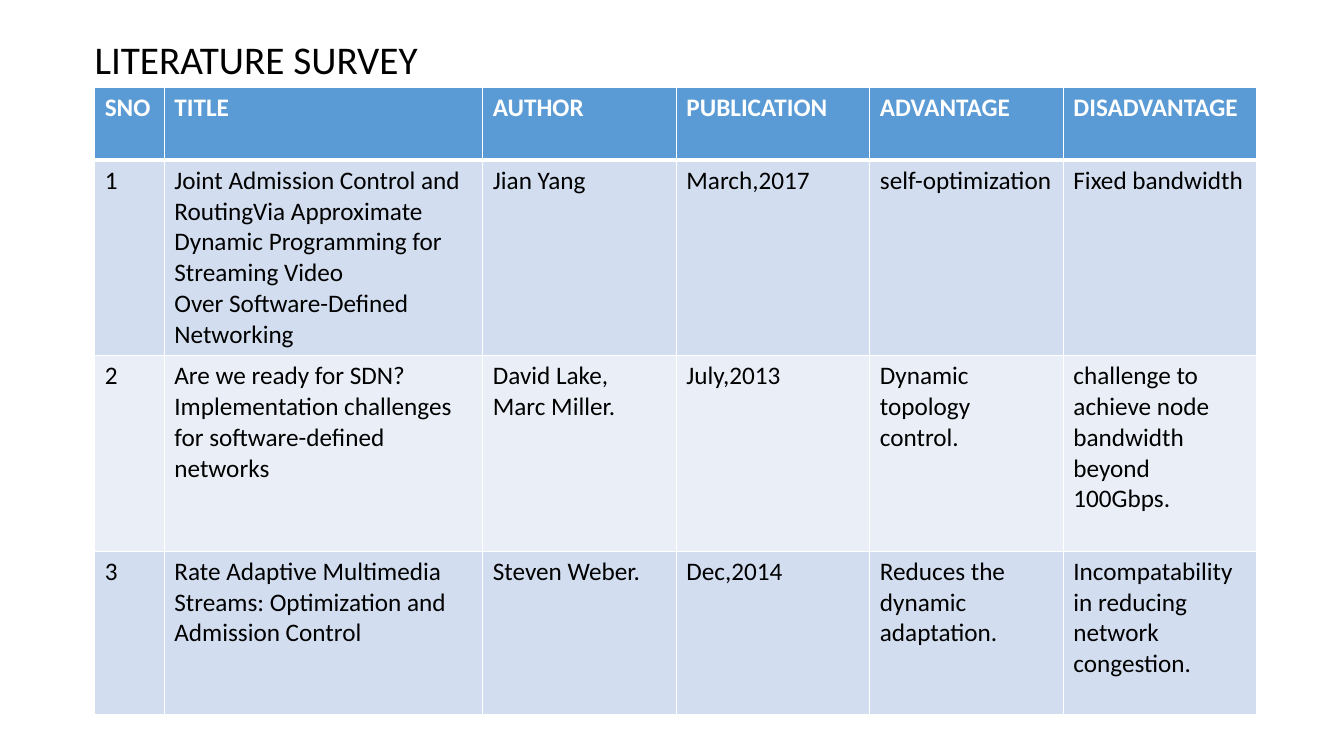
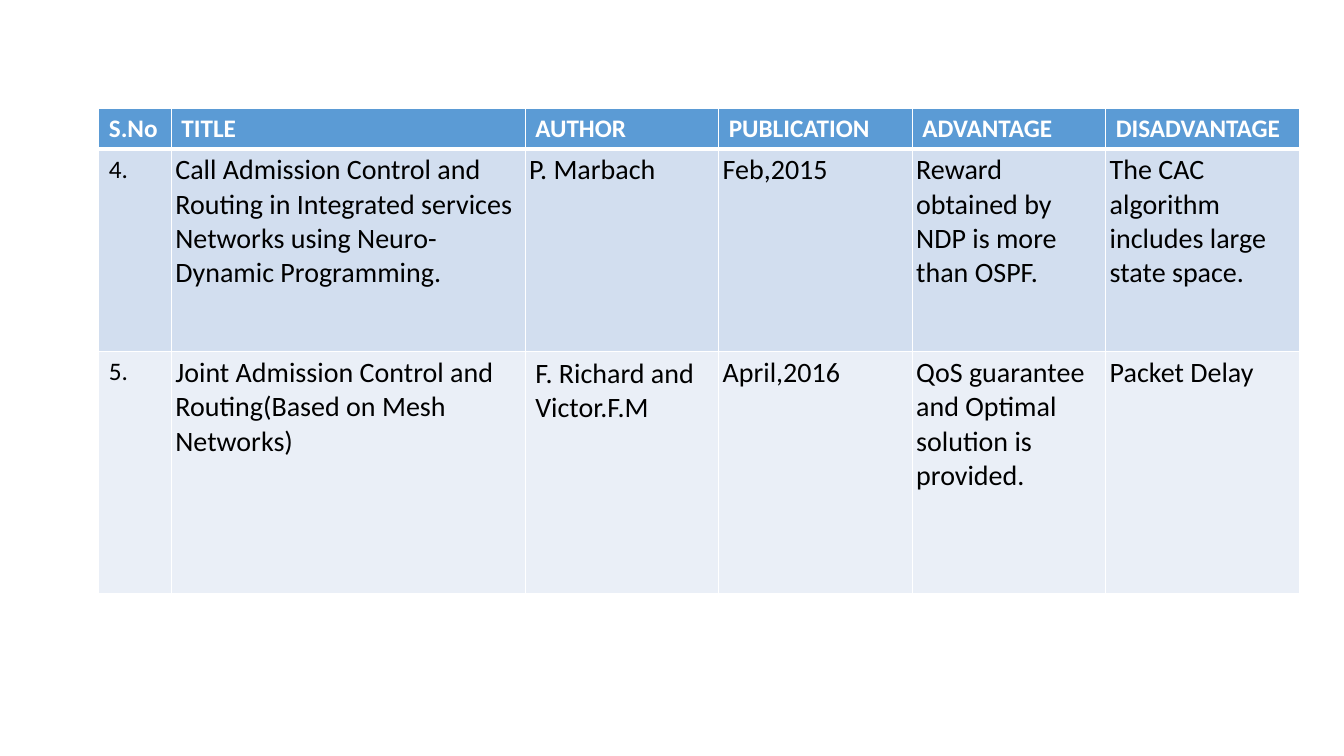
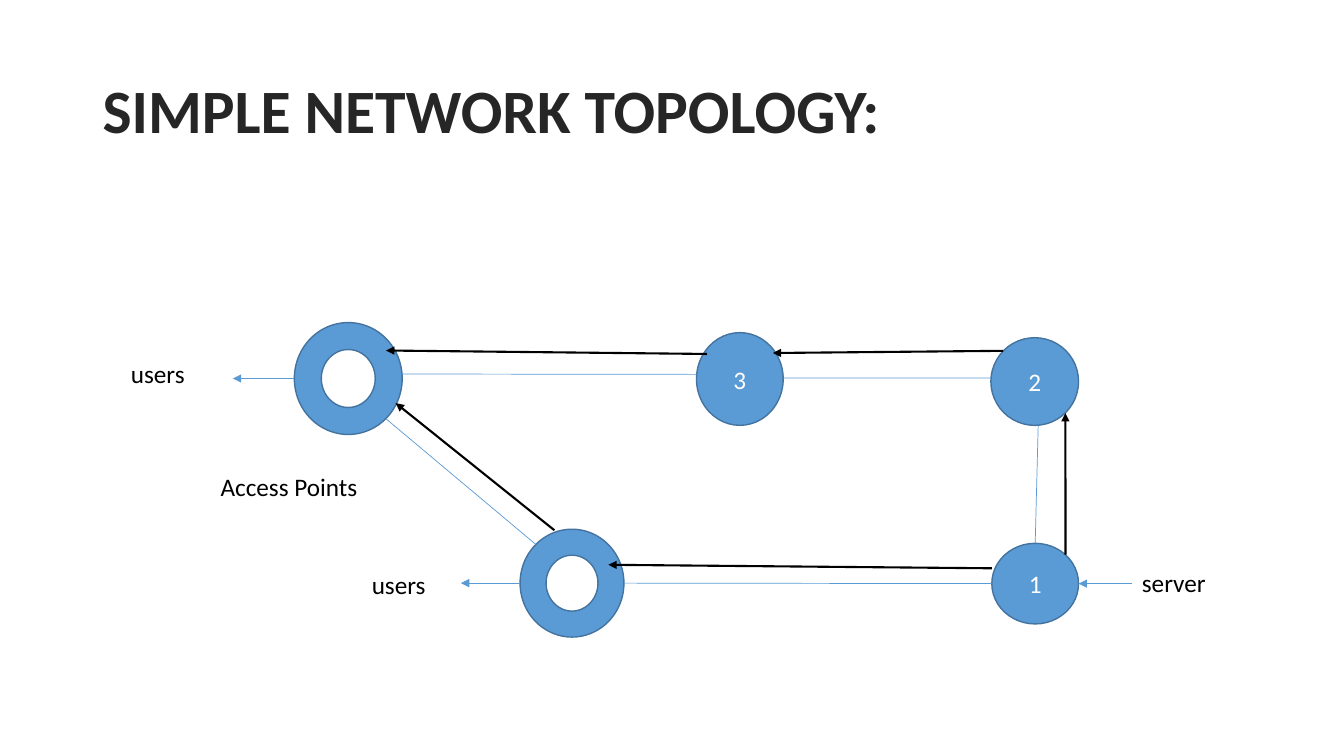
"""Builds a literature survey in two tables and a network topology diagram."""
from dataclasses import dataclass
from itertools import product

from lxml.etree import SubElement
from pptx import Presentation
from pptx.dml.color import RGBColor as Rgb
from pptx.enum.shapes import MSO_CONNECTOR as Connector, MSO_SHAPE as Preset
from pptx.enum.text import MSO_ANCHOR as Anchor, PP_ALIGN as Align
from pptx.oxml import parse_xml
from pptx.oxml.ns import nsdecls, qn
from pptx.util import Inches, Pt


@dataclass(frozen=True)
class Theme:
    font: str = "Calibri"
    accent: str = "5B9BD5"
    outline: str = "43739E"
    ink: str = "000000"
    heading: str = "262626"
    paper: str = "FFFFFF"
    bands: tuple = ("D2DEEF", "EAEFF7")
    body: int = 18
    large: int = 20
    title: int = 28
    headline: int = 44
    hairline: float = 0.5
    rule: float = 1
    route: float = 1.5
    header_rule: float = 3


THEME = Theme()
GRID_COLUMNS, GRID_ROWS = 40, 22.5
MODULE = Inches(13.33) / GRID_COLUMNS
TIGHT = Inches(0.04)
TIGHT_MARGINS = {f"margin_{side}": TIGHT for side in ("left", "top", "right", "bottom")}
HEADINGS = ["TITLE", "AUTHOR", "PUBLICATION", "ADVANTAGE", "DISADVANTAGE"]

FIRST_PAPERS = [
    ["SNO", *HEADINGS],
    ["1",
     "Joint Admission Control and RoutingVia Approximate\n"
     "Dynamic Programming for Streaming Video\nOver Software-Defined Networking",
     "Jian Yang", "March,2017", "self-optimization", "Fixed bandwidth"],
    ["2",
     "Are we ready for SDN? Implementation challenges\nfor software-defined networks",
     "David Lake, Marc Miller.", "July,2013", "Dynamic\ntopology control.",
     "challenge to achieve node bandwidth beyond 100Gbps."],
    ["3", "Rate Adaptive Multimedia Streams: Optimization and Admission Control",
     "Steven Weber.", "Dec,2014", "Reduces the dynamic adaptation.",
     "Incompatability in reducing network congestion."],
]
LATER_PAPERS = [
    ["S.No", *HEADINGS],
    ["4.",
     "Call Admission Control and Routing in Integrated services Networks "
     "using Neuro-Dynamic Programming.",
     "P. Marbach", "Feb,2015", "Reward obtained by NDP is more than OSPF.",
     "The CAC algorithm includes large state space."],
    ["5.", "Joint Admission Control and Routing(Based on Mesh Networks)",
     "F. Richard and Victor.F.M", "April,2016",
     "QoS guarantee and Optimal solution is provided.", "Packet Delay"],
]

NODES = {
    "upper": (Preset.DONUT, "", (8.76, 9.6, 3.21, 3.33)),
    "lower": (Preset.DONUT, "", (15.48, 15.75, 3.09, 3.21)),
    "three": (Preset.OVAL, "3", (20.73, 9.9, 2.58, 2.76)),
    "two": (Preset.OVAL, "2", (29.49, 10.05, 2.61, 2.61)),
    "one": (Preset.OVAL, "1", (29.52, 16.17, 2.58, 2.4)),
}
WIRES = [
    (("upper", 1, 0.46), ("three", 0, 0.45)),
    (("three", 1, 0.49), ("two", 0, 0.46)),
    (("two", 0.54, 1), ("one", 0.5, 0)),
    (("lower", 1, 0.5), ("one", 0, 0.5)),
    (("upper", 0.85, 0.86), ("lower", 0.15, 0.14)),
]
ROUTES = [
    (("lower", 0.33, 0.01), ("upper", 0.94, 0.72)),
    (("one", 0, 0.31), ("lower", 0.85, 0.33)),
    (("two", 0.14, 0.15), ("three", 0.88, 0.22)),
    (("one", 0.85, 0.14), ("two", 0.85, 0.86)),
    (("three", 0.12, 0.23), ("upper", 0.85, 0.25)),
]
ENDPOINT_ARROWS = [
    (("upper", 0, 0.5), ("upper", -0.57, 0.5)),
    (("one", 1.62, 0.5), ("one", 1, 0.5)),
    (("lower", 0, 0.5), ("lower", -0.57, 0.5)),
]
LABELS = [
    ("Access Points", (6.27, 13.89, 6.57, 1.2)),
    ("users", (3.6, 10.53, 3.06, 1.2)),
    ("server", (33.69, 16.74, 3.54, 1.2)),
    ("users", (10.77, 16.8, 2.52, 1.2)),
]


def grid(*modules):
    """Turns grid modules into slide lengths."""
    return [round(count * MODULE) for count in modules]


def apply(target, values):
    """Sets each attribute in values on target."""
    for attribute, value in values.items():
        setattr(target, attribute, value)


def paint(fill, colour):
    """Gives a fill one solid colour."""
    fill.solid()
    fill.fore_color.rgb = Rgb.from_string(colour)


def write(frame, text, size=THEME.body, colour=THEME.ink, bold=False, **paragraph_format):
    """Writes text into a frame in the theme font."""
    frame.text = text
    for paragraph in frame.paragraphs:
        apply(paragraph, paragraph_format)
        apply(paragraph.font, {"name": THEME.font, "size": Pt(size), "bold": bold})
        paragraph.font.color.rgb = Rgb.from_string(colour)


def add_label(slide, text, place, anchor=Anchor.TOP, **text_format):
    """Adds a wrapped piece of free text."""
    frame = slide.shapes.add_textbox(*grid(*place)).text_frame
    apply(frame, {"word_wrap": True, "vertical_anchor": anchor})
    write(frame, text, **text_format)


def add_title(slide, text, place, **text_format):
    """Adds a slide title."""
    add_label(slide, text, place, Anchor.MIDDLE, line_spacing=0.9, **text_format)


def border(cell, top, bottom):
    """Rules the four sides of a cell."""
    widths = {"lnL": THEME.rule, "lnR": THEME.rule, "lnT": top, "lnB": bottom}
    properties = cell._tc.get_or_add_tcPr()
    for order, (side, width) in enumerate(widths.items()):
        properties.insert(order, parse_xml(
            f'<a:{side} {nsdecls("a")} w="{Pt(width)}"><a:solidFill>'
            f'<a:srgbClr val="{THEME.paper}"/></a:solidFill></a:{side}>'))


def add_survey(slide, papers, corner, columns, rows, size=THEME.body, tight=()):
    """Adds a survey table with a header row and banded papers."""
    place = grid(*corner, sum(columns), sum(rows))
    table = slide.shapes.add_table(len(rows), len(columns), *place).table
    for column, width in zip(table.columns, grid(*columns)):
        column.width = width
    for row, height in zip(table.rows, grid(*rows)):
        row.height = height
    for r, c in product(range(len(rows)), range(len(columns))):
        cell = table.cell(r, c)
        header = r == 0
        write(cell.text_frame, papers[r][c],
              size=THEME.body if header or c == 0 else size,
              colour=THEME.paper if header else THEME.ink, bold=header)
        if (r, c) in tight:
            apply(cell, TIGHT_MARGINS)
        paint(cell.fill, THEME.accent if header else THEME.bands[(r - 1) % 2])
        border(cell, THEME.header_rule if r == 1 else THEME.rule,
               THEME.header_rule if header else THEME.rule)


def add_node(slide, preset, text, place):
    """Adds a network node."""
    node = slide.shapes.add_shape(preset, *grid(*place))
    node.shadow.inherit = False
    paint(node.fill, THEME.accent)
    paint(node.line.fill, THEME.outline)
    node.line.width = Pt(THEME.rule)
    if text:
        node.text_frame.vertical_anchor = Anchor.MIDDLE
        write(node.text_frame, text, colour=THEME.paper, alignment=Align.CENTER)


def node_point(name, across, down):
    """Finds a point by its share of a node's width and height."""
    left, top, width, height = NODES[name][2]
    return grid(left + across * width, top + down * height)


def add_link(slide, start, end, colour=THEME.accent, width=THEME.hairline, arrow=False):
    """Adds a line between two node points."""
    link = slide.shapes.add_connector(
        Connector.STRAIGHT, *node_point(*start), *node_point(*end))
    paint(link.line.fill, colour)
    link.line.width = Pt(width)
    if arrow:
        SubElement(link.line._get_or_add_ln(), qn("a:tailEnd"), type="triangle")
    SubElement(link._element.spPr, qn("a:effectLst"))


def add_topology(slide):
    """Draws the nodes, wires, routes and labels of the network."""
    for preset, text, place in NODES.values():
        add_node(slide, preset, text, place)
    for start, end in WIRES:
        add_link(slide, start, end)
    for start, end in ROUTES:
        add_link(slide, start, end, THEME.ink, THEME.route, arrow=True)
    for start, end in ENDPOINT_ARROWS:
        add_link(slide, start, end, arrow=True)
    for text, place in LABELS:
        add_label(slide, text, place)


def main():
    """Builds and saves the deck."""
    deck = Presentation()
    width, height = grid(GRID_COLUMNS, GRID_ROWS)
    apply(deck, {"slide_width": width, "slide_height": height})
    blank = deck.slide_layouts[6]
    first, later, topology = (deck.slides.add_slide(blank) for _ in range(3))

    add_title(first, "LITERATURE SURVEY", (2.52, 0.81, 34.5, 2.07), size=THEME.title)
    add_survey(first, FIRST_PAPERS, (2.82, 2.61),
               [2.07, 9.48] + [5.76] * 4, [2.16, 5.82, 5.82, 4.86])

    tight = set(product((1, 2), range(1, 6))) - {(2, 2)}
    add_survey(later, LATER_PAPERS, (2.94, 3.24),
               [2.16, 10.53] + [5.76] * 4, [1.2, 6.03, 7.2], THEME.large, tight)

    add_title(topology, "SIMPLE NETWORK TOPOLOGY:", (2.76, 1.2, 34.5, 4.35),
              size=THEME.headline, colour=THEME.heading, bold=True)
    add_topology(topology)
    deck.save("out.pptx")


if __name__ == "__main__":
    main()
